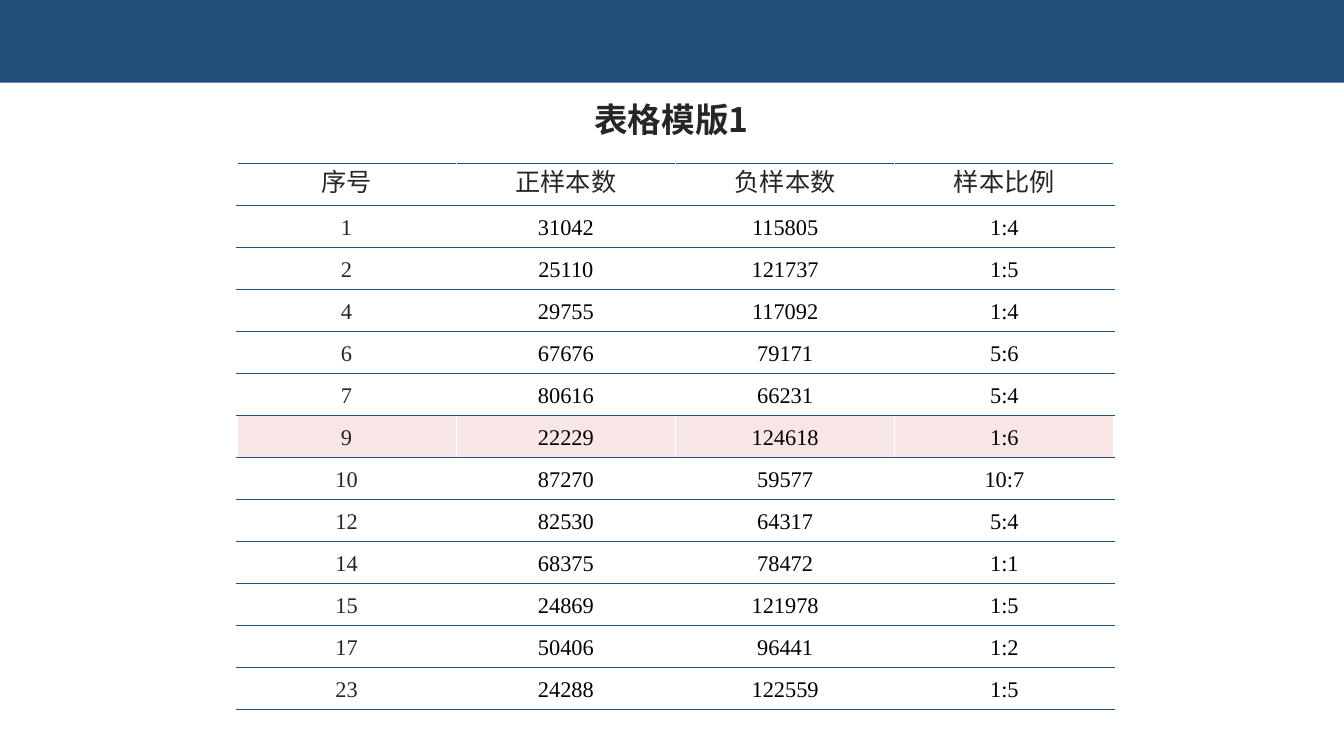
from lxml.etree import SubElement
from pptx import Presentation
from pptx.dml.color import RGBColor
from pptx.enum.shapes import MSO_SHAPE
from pptx.enum.text import MSO_ANCHOR, MSO_AUTO_SIZE, PP_ALIGN
from pptx.oxml.ns import qn
from pptx.util import Inches, Pt

NAVY = RGBColor(0x1F, 0x4E, 0x79)
WHITE = RGBColor(0xFF, 0xFF, 0xFF)
INK = RGBColor(0x26, 0x26, 0x26)
BLACK = RGBColor(0, 0, 0)
RED = RGBColor(0xC0, 0, 0)
HAN = "Noto Sans CJK SC"
ROMAN = "Times New Roman"

HEAD = ("序号", "正样本数", "负样本数", "样本比例")
DATA = [
    ("1", "31042", "115805", "1:4"),
    ("2", "25110", "121737", "1:5"),
    ("4", "29755", "117092", "1:4"),
    ("6", "67676", "79171", "5:6"),
    ("7", "80616", "66231", "5:4"),
    ("9", "22229", "124618", "1:6"),
    ("10", "87270", "59577", "10:7"),
    ("12", "82530", "64317", "5:4"),
    ("14", "68375", "78472", "1:1"),
    ("15", "24869", "121978", "1:5"),
    ("17", "50406", "96441", "1:2"),
    ("23", "24288", "122559", "1:5"),
]
MARKED = "9"


class Deck:
    def __init__(self, wide, high):
        self.file = Presentation()
        self.file.slide_width = Inches(wide)
        self.file.slide_height = Inches(high)
        self.slide = self.file.slides.add_slide(self.file.slide_layouts[6])

    def band(self, left, top, wide, high, color):
        shape = self.slide.shapes.add_shape(
            MSO_SHAPE.RECTANGLE, Inches(left), Inches(top), Inches(wide), Inches(high))
        shape.shadow.inherit = False
        shape.fill.solid()
        shape.fill.fore_color.rgb = color
        shape.line.fill.background()

    def label(self, para, text, size, face, color, bold=False):
        para.text = text
        para.alignment = PP_ALIGN.CENTER
        font = para.font
        font.size, font.name, font.bold = Pt(size), face, bold
        font.color.rgb = color
        props = para._p.pPr.find(qn("a:defRPr"))
        SubElement(props, qn("a:ea"), typeface=face)

    def title(self, left, top, wide, high, text):
        box = self.slide.shapes.add_textbox(
            Inches(left), Inches(top), Inches(wide), Inches(high))
        frame = box.text_frame
        frame.word_wrap = False
        frame.auto_size = MSO_AUTO_SIZE.SHAPE_TO_FIT_TEXT
        self.label(frame.paragraphs[0], text, 24, HAN, INK, True)

    def border(self, cell, side, color, width):
        line = SubElement(cell._tc.get_or_add_tcPr(), qn("a:ln" + side), w=str(Pt(width)))
        fill = SubElement(line, qn("a:solidFill"))
        SubElement(fill, qn("a:srgbClr"), val=str(color))

    def tint(self, cell, color, share):
        cell.fill.solid()
        cell.fill.fore_color.rgb = color
        tone = cell._tc.tcPr.find(qn("a:solidFill")).find(qn("a:srgbClr"))
        SubElement(tone, qn("a:alpha"), val=str(share * 1000))

    def table(self, left, top, wide, high, rows):
        count = len(rows)
        grid = self.slide.shapes.add_table(
            count, len(rows[0]), Inches(left), Inches(top), Inches(wide), Inches(high)).table
        grid.first_row = grid.horz_banding = False
        for r, row in enumerate(rows):
            over = 1 if r < 2 else 0.25
            under = 1 if r in (0, count - 1) else 0.25
            for c, text in enumerate(row):
                cell = grid.cell(r, c)
                cell.vertical_anchor = MSO_ANCHOR.MIDDLE
                cell.margin_left = cell.margin_right = Inches(0.1)
                cell.margin_top = cell.margin_bottom = 0
                size, face = (18, HAN) if r == 0 else (16, ROMAN)
                para = cell.text_frame.paragraphs[0]
                para.line_spacing = Pt(20)
                self.label(para, text, size, face, BLACK if r and c else INK)
                self.border(cell, "L", WHITE, 1)
                self.border(cell, "R", WHITE, 1)
                self.border(cell, "T", NAVY, over)
                self.border(cell, "B", NAVY, under)
                if row[0] == MARKED:
                    self.tint(cell, RED, 10)
                else:
                    cell.fill.background()


deck = Deck(13.33, 7.5)
deck.band(0, 0, 13.33, 0.82, NAVY)
deck.table(2.35, 1.62, 8.7, 5.42, [HEAD] + DATA)
deck.title(5.73, 0.93, 1.86, 0.5, "表格模版1")
deck.file.save("out.pptx")
